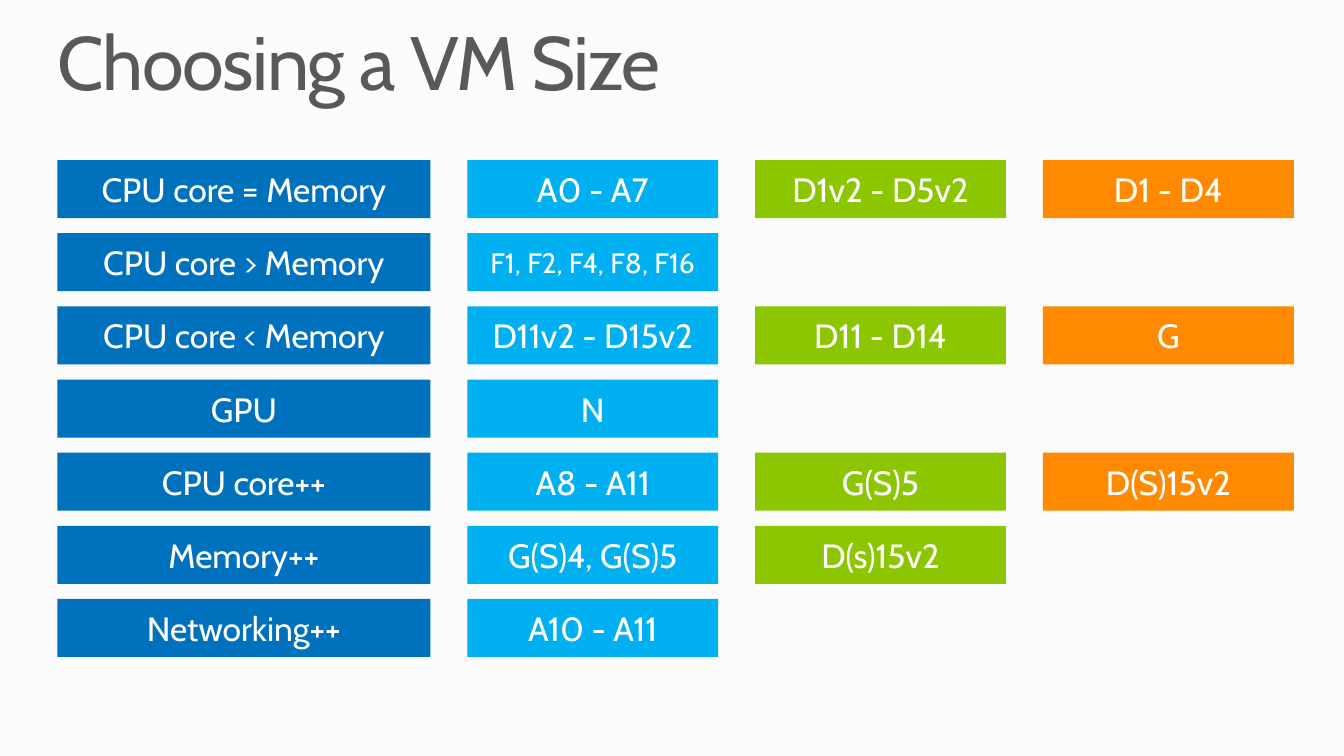
import pptx
import pptx.dml.color
import pptx.enum.shapes
import pptx.enum.text
import pptx.util

Pt = pptx.util.Pt
FONT = "Cabin"
COLUMN_FILLS = ["0071BC", "00B0F0", "8CC600", "FF8A00"]
VM_SIZES = [
    ["CPU core = Memory", "A0 - A7", "D1v2 - D5v2", "D1 - D4"],
    ["CPU core > Memory", "F1, F2, F4, F8, F16"],
    ["CPU core < Memory", "D11v2 - D15v2", "D11 - D14", "G"],
    ["GPU", "N"],
    ["CPU core++", "A8 - A11", "G(S)5", "D(S)15v2"],
    ["Memory++", "G(S)4, G(S)5", "D(s)15v2"],
    ["Networking++", "A10 - A11"],
]


def paint(color_format, hex_color):
    color_format.rgb = pptx.dml.color.RGBColor.from_string(hex_color)


def add_run(paragraph, text, size, color):
    run = paragraph.add_run()
    run.text = text
    run.font.name = FONT
    run.font.size = Pt(size)
    paint(run.font.color, color)
    return run


def add_title(slide, left, top, width, height):
    title = slide.shapes.add_textbox(Pt(left), Pt(top), Pt(width), Pt(height))
    frame = title.text_frame
    frame.word_wrap = True
    frame.margin_left = frame.margin_right = 0
    frame.margin_top = frame.margin_bottom = 0
    paragraph = frame.paragraphs[0]
    paragraph.line_spacing = 0.9
    heading = add_run(paragraph, "Choosing a VM Size", 54, "595959")
    heading.font._element.set("spc", "-100")


def add_tile(slide, left, top, width, height, label, fill):
    tile = slide.shapes.add_shape(pptx.enum.shapes.MSO_SHAPE.RECTANGLE,
                                  Pt(left), Pt(top), Pt(width), Pt(height))
    tile.shadow.inherit = False
    tile.fill.solid()
    paint(tile.fill.fore_color, fill)
    tile.line.fill.background()
    frame = tile.text_frame
    frame.word_wrap = True
    frame.vertical_anchor = pptx.enum.text.MSO_ANCHOR.MIDDLE
    paragraph = frame.paragraphs[0]
    paragraph.alignment = pptx.enum.text.PP_ALIGN.CENTER
    add_run(paragraph, label, 20 if len(label) > 17 else 24, "FFFFFF")


def add_size_grid(slide, left, top, width, height):
    """Workload needs in the wide first column, matching VM sizes beside them."""
    column_gap, row_gap, need_width = 26.4, 10.8, 266.4
    size_count = len(COLUMN_FILLS) - 1
    size_width = (width - need_width) / size_count - column_gap
    row_height = (height + row_gap) / len(VM_SIZES) - row_gap
    for row, labels in enumerate(VM_SIZES):
        tile_left = left
        tile_top = top + row * (row_height + row_gap)
        for column, (label, fill) in enumerate(zip(labels, COLUMN_FILLS)):
            tile_width = size_width if column else need_width
            add_tile(slide, tile_left, tile_top, tile_width, row_height, label, fill)
            tile_left += tile_width + column_gap


def main():
    presentation = pptx.Presentation()
    presentation.slide_width, presentation.slide_height = Pt(960), Pt(540)
    slide = presentation.slides.add_slide(presentation.slide_layouts[6])
    slide.background.fill.solid()
    paint(slide.background.fill.fore_color, "FCFCFC")
    add_title(slide, 41, 18, 878.4, 59)
    add_size_grid(slide, 41, 114.3, 883.2, 355)
    presentation.save("out.pptx")


if __name__ == "__main__":
    main()
